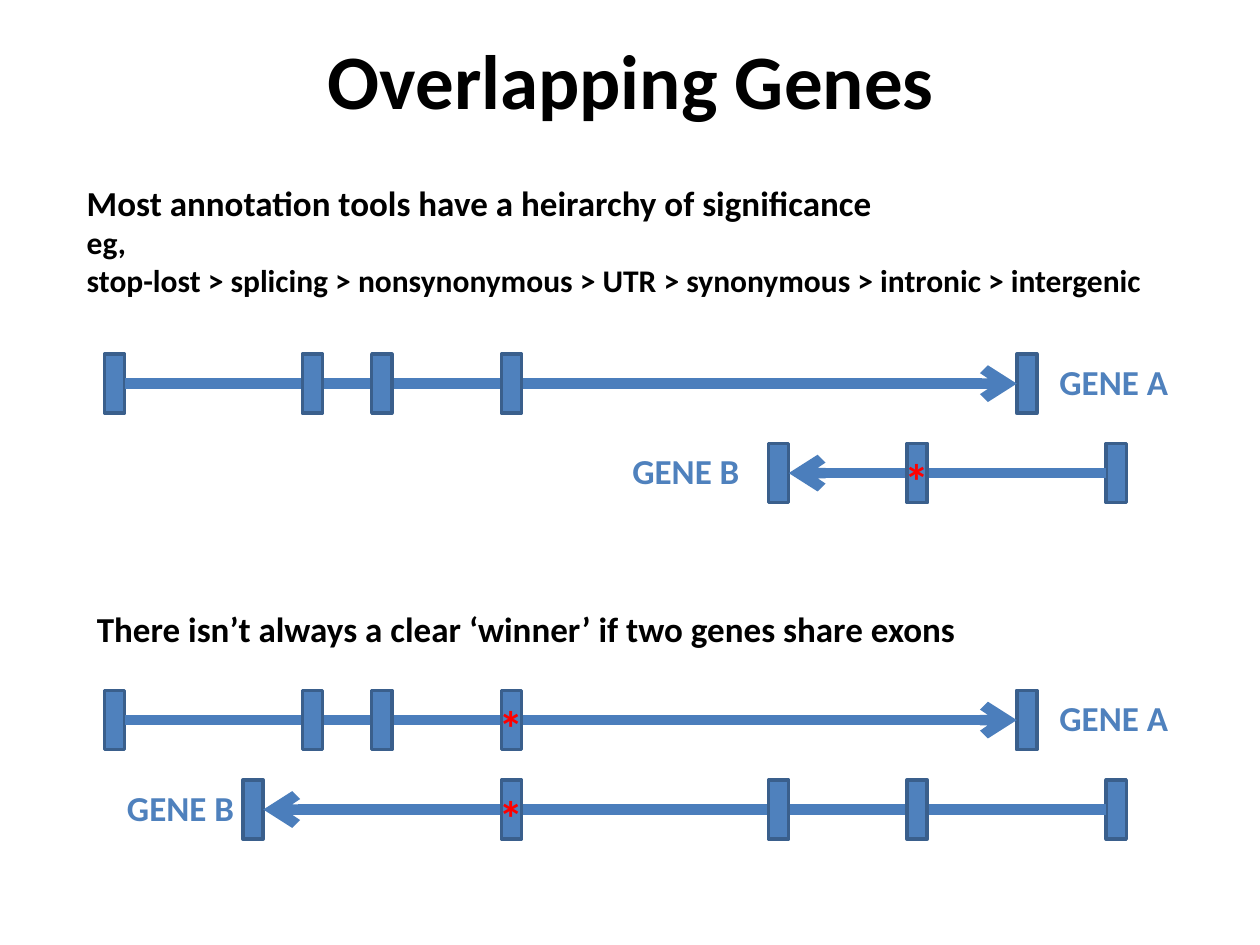
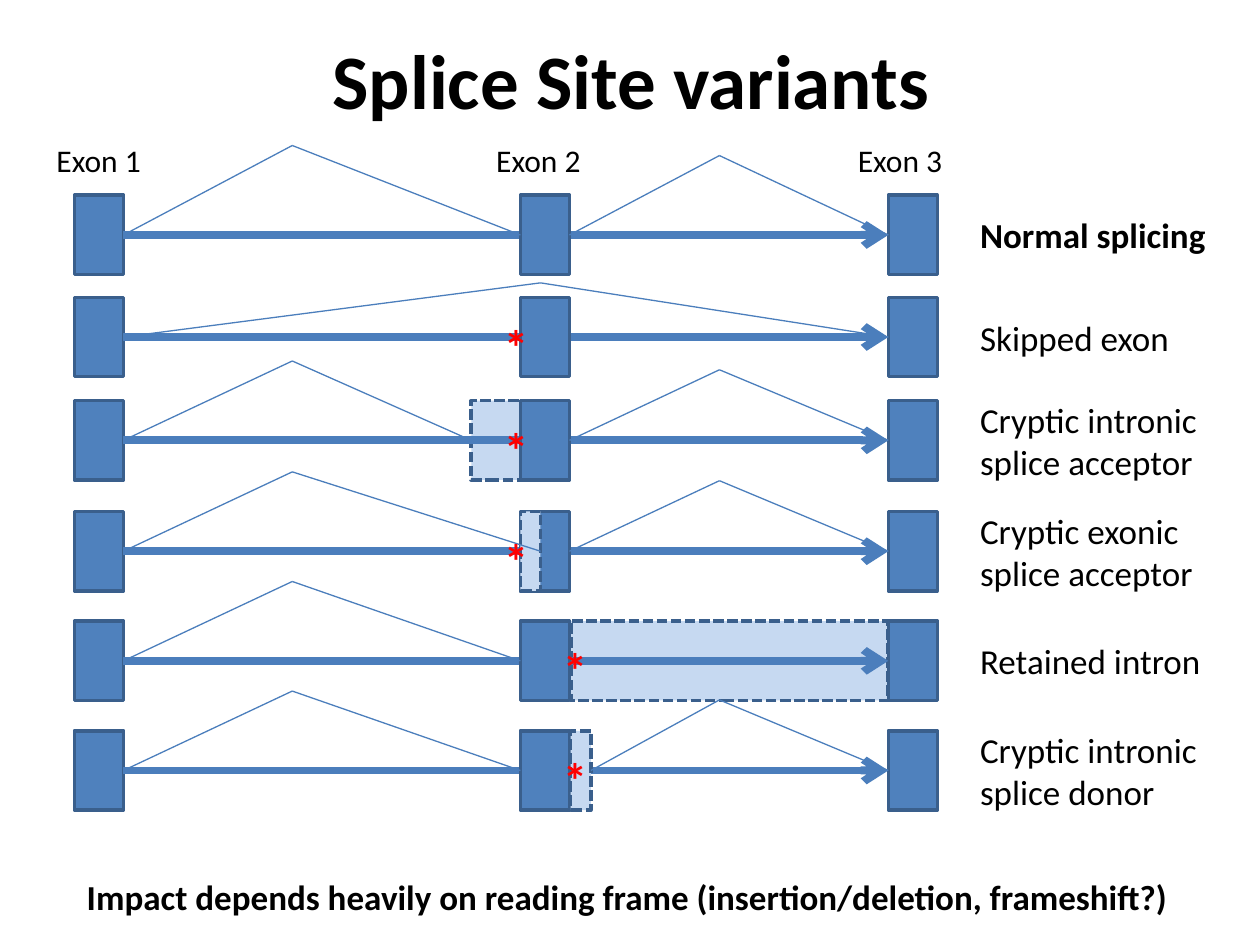
from lxml import etree
from pptx import Presentation
from pptx.dml.color import RGBColor
from pptx.enum.dml import MSO_LINE
from pptx.enum.shapes import MSO_CONNECTOR, MSO_SHAPE
from pptx.enum.text import MSO_ANCHOR as Anchor, PP_ALIGN as Align
from pptx.oxml.ns import qn
from pptx.util import Inches, Pt

COLOURS = {
    "text": "000000",
    "exon": "4F81BD",
    "outline": "3A5F8C",
    "intron": "4B7EBC",
    "cryptic": "C6D9F1",
    "variant": "FF0000",
}
FONT = "Calibri"
TITLE_ONLY = 5
LEFT_SIDE, RIGHT_SIDE = 1, 3

GENE_EXON = (0.16, 0.47)
SPLICE_EXON = (0.39, 0.63)
SPLICE_EXON_OFFSETS = {"exon 1": 0, "exon 2": 3.54, "exon 3": 6.46}

# Exon offsets are measured from the left edge of the gene track.
GENE_A = {"name": "GENE A", "exons": [0, 1.57, 2.12, 3.15, 7.24], "label": 7.48}
SHORT_GENE_B = {"name": "GENE B", "exons": [5.27, 6.37, 7.95], "label": 4.09,
                "reverse": True}
LONG_GENE_B = {"name": "GENE B", "exons": [1.1, 3.15, 5.27, 6.37, 7.95],
               "label": 0.08, "reverse": True}

# A splice is: start part, peak offset, rise, end part, side it ends on.
FIRST_SPLICE = ("exon 1", 1.73, 0.63, "exon 2", LEFT_SIDE)
SECOND_SPLICE = ("exon 2", 5.12, 0.56, "exon 3", LEFT_SIDE)
SPLICE_ROWS = [
    {"label": "Normal splicing", "top": 1.55, "bold": True,
     "splices": [("exon 1", 1.73, 0.71, "exon 2", LEFT_SIDE),
                 ("exon 2", 5.12, 0.63, "exon 3", LEFT_SIDE)]},
    {"label": "Skipped exon", "top": 2.36, "variant": 3.31,
     "splices": [("exon 1", 3.7, 0.43, "exon 3", LEFT_SIDE)]},
    {"label": "Cryptic intronic splice acceptor", "top": 3.18, "variant": 3.31,
     "cryptic": (3.15, 0.39), "cryptic_behind": True,
     "splices": [("exon 1", 1.73, 0.63, "cryptic", LEFT_SIDE), SECOND_SPLICE]},
    {"label": "Cryptic exonic splice acceptor", "top": 4.06, "variant": 3.31,
     "cryptic": (3.54, 0.16),
     "splices": [("exon 1", 1.73, 0.63, "cryptic", RIGHT_SIDE), SECOND_SPLICE]},
    {"label": "Retained intron", "top": 4.93, "variant": 3.78,
     "cryptic": (3.94, 2.52), "cryptic_behind": True,
     "splices": [FIRST_SPLICE]},
    {"label": "Cryptic intronic splice donor", "top": 5.8, "variant": 3.78,
     "cryptic": (3.94, 0.16),
     "splices": [FIRST_SPLICE, ("cryptic", 5.12, 0.56, "exon 3", LEFT_SIDE)]},
]


def colour(name):
    return RGBColor.from_string(COLOURS[name])


def format_paragraph(para, size, bold, colour_name):
    for span in para.runs:
        span.font.name = FONT
        span.font.size = Pt(size)
        span.font.bold = bold
        span.font.color.rgb = colour(colour_name)


def add_titled_page(deck, title_text):
    page = deck.slides.add_slide(deck.slide_layouts[TITLE_ONLY])
    title = page.shapes.title
    title.left, title.top = Inches(0.51), Inches(0)
    title.width, title.height = Inches(9), Inches(1.25)
    frame = title.text_frame
    frame.text = title_text
    frame.vertical_anchor = Anchor.MIDDLE
    frame.paragraphs[0].alignment = Align.CENTER
    format_paragraph(frame.paragraphs[0], 44, True, "text")
    return page


def add_text(page, box, lines, sizes=(20,), bold=True, colour_name="text",
             wrap=False, anchor=Anchor.TOP):
    """Write one paragraph per line; the last size serves all later lines."""
    frame = page.shapes.add_textbox(*map(Inches, box)).text_frame
    frame.text = "\n".join(lines)
    frame.word_wrap = wrap
    frame.vertical_anchor = anchor
    for index, para in enumerate(frame.paragraphs):
        size = sizes[min(index, len(sizes) - 1)]
        format_paragraph(para, size, bold, colour_name)


def add_variant(page, left, top):
    add_text(page, (left, top, 0.4, 0.57), ["*"], (28,), colour_name="variant")


def add_block(page, left, top, size, cryptic=False):
    block = page.shapes.add_shape(
        MSO_SHAPE.RECTANGLE, *map(Inches, (left, top, *size)))
    block.shadow.inherit = False
    block.fill.solid()
    block.fill.fore_color.rgb = colour("cryptic" if cryptic else "exon")
    block.line.color.rgb = colour("outline")
    block.line.width = Pt(2)
    if cryptic:
        block.line.dash_style = MSO_LINE.SQUARE_DOT
    return block


def add_line(page, width, start=None, end=None, peak=(0, 0), arrow=False):
    """Join (shape, side) ends; an end left out lies at the peak."""
    x, y = map(Inches, peak)
    line = page.shapes.add_connector(MSO_CONNECTOR.STRAIGHT, x, y, x, y)
    if start:
        line.begin_connect(*start)
    if end:
        line.end_connect(*end)
    line.line.color.rgb = colour("intron")
    line.line.width = Pt(width)
    properties = line.line._get_or_add_ln()
    if arrow:
        etree.SubElement(properties, qn("a:tailEnd"), type="arrow")
    etree.SubElement(properties.getparent(), qn("a:effectLst"))


def add_gene(page, left, top, gene, variant=None):
    """Draw a gene track; variant is the index of the marked exon."""
    exon_lefts = [left + offset for offset in gene["exons"]]
    first = add_block(page, exon_lefts[0], top, GENE_EXON)
    last = add_block(page, exon_lefts[-1], top, GENE_EXON)
    start, end = (first, RIGHT_SIDE), (last, LEFT_SIDE)
    if gene.get("reverse"):
        start, end = end, start
    add_line(page, 6, start, end, arrow=True)
    for exon_left in exon_lefts[1:-1]:
        add_block(page, exon_left, top, GENE_EXON)
    add_text(page, (left + gene["label"], top, 1.07, 0.44), [gene["name"]],
             colour_name="exon")
    if variant is not None:
        add_variant(page, exon_lefts[variant] - 0.12, top + 0.01)


def add_splice_row(page, left, row):
    top = row["top"]
    middle = top + SPLICE_EXON[1] / 2
    parts = {}

    def add_exon(name):
        parts[name] = add_block(page, left + SPLICE_EXON_OFFSETS[name], top,
                                SPLICE_EXON)

    def add_cryptic():
        offset, width = row["cryptic"]
        parts["cryptic"] = add_block(page, left + offset, top,
                                     (width, SPLICE_EXON[1]), cryptic=True)

    behind = row.get("cryptic_behind", False)
    if behind:
        add_cryptic()
    add_exon("exon 1")
    add_exon("exon 3")
    add_line(page, 4.5, (parts["exon 1"], RIGHT_SIDE),
             (parts["exon 3"], LEFT_SIDE), arrow=True)
    add_exon("exon 2")
    if "cryptic" in row and not behind:
        add_cryptic()
    for start, offset, rise, end, side in row["splices"]:
        peak = (left + offset, middle - rise)
        add_line(page, 0.75, start=(parts[start], RIGHT_SIDE), peak=peak)
        add_line(page, 0.75, end=(parts[end], side), peak=peak)
    if "variant" in row:
        add_variant(page, left + row["variant"], top + 0.1)
    add_text(page, (left + 7.09, middle - 0.385, 2.13, 0.77), [row["label"]],
             bold=row.get("bold", False), wrap=True, anchor=Anchor.MIDDLE)


def build_overlapping_genes(deck):
    page = add_titled_page(deck, "Overlapping Genes")
    add_text(page, (0.59, 1.39, 8.64, 1.04), [
        "Most annotation tools have a heirarchy of significance",
        "eg,",
        "stop-lost > splicing > nonsynonymous > UTR > synonymous"
        " > intronic > intergenic",
    ], (20, 18))
    add_text(page, (0.67, 4.77, 7.07, 0.44),
             ["There isn’t always a clear ‘winner’ if two genes share exons"])
    track_left, track_step = 0.83, 0.71
    for top, variant_a, gene_b in [(2.81, None, SHORT_GENE_B),
                                   (5.48, 3, LONG_GENE_B)]:
        add_gene(page, track_left, top, GENE_A, variant_a)
        add_gene(page, track_left, top + track_step, gene_b, variant=1)


def build_splice_variants(deck):
    page = add_titled_page(deck, "Splice Site variants")
    for number, left in enumerate([0.35, 3.84, 6.71], start=1):
        add_text(page, (left, 1.07, 0.87, 0.4), [f"Exon {number}"], (18,),
                 bold=False)
    for row in SPLICE_ROWS:
        add_splice_row(page, 0.59, row)
    add_text(page, (0.59, 6.9, 8.87, 0.44), [
        "Impact depends heavily on reading frame"
        " (insertion/deletion, frameshift?)"])


def main():
    deck = Presentation()
    deck.slide_width, deck.slide_height = Inches(10), Inches(7.5)
    build_overlapping_genes(deck)
    build_splice_variants(deck)
    deck.save("out.pptx")


if __name__ == "__main__":
    main()
